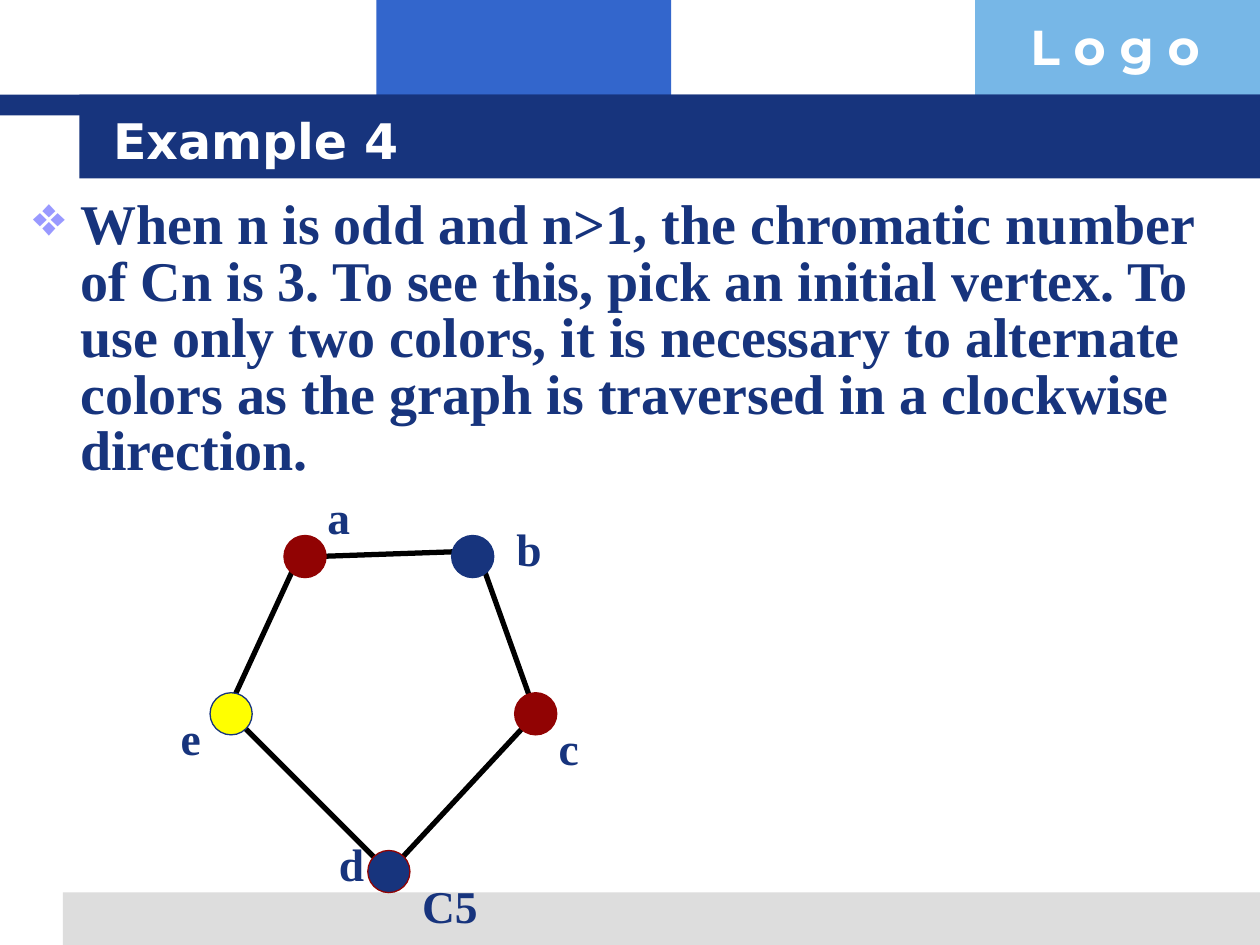
import pptx
import pptx.dml.color
import pptx.enum.shapes
import pptx.enum.text
import pptx.util
from lxml import etree
from pptx.oxml.ns import qn

Cm = pptx.util.Cm
Pt = pptx.util.Pt
SHAPE = pptx.enum.shapes.MSO_SHAPE
ANCHOR = pptx.enum.text.MSO_ANCHOR

NAVY, BLUE, SKY, GREY = "17347D", "3366CC", "77B7E7", "DDDDDD"
RED, YELLOW, WHITE, BLACK, LILAC = "910303", "FFFF00", "FFFFFF", "000000", "9999FF"
SERIF = "Times New Roman"

NODE_SIZE = 0.85
NODES = [
    (2.76, 1.49, RED, RED),
    (6.14, 1.49, NAVY, NAVY),
    (7.41, 4.66, RED, RED),
    (4.45, 7.84, NAVY, RED),
    (1.27, 4.66, YELLOW, NAVY),
]
EDGES = [
    (2.96, 1.49, 6.14, 1.38),
    (6.35, 1.7, 7.41, 4.66),
    (7.41, 4.66, 4.65, 7.63),
    (4.23, 7.63, 1.48, 4.88),
    (1.27, 4.45, 2.54, 1.7),
]
LABELS = [
    ("a", 2.96, 0, 0.97),
    ("b", 6.77, 0.64, 1.02),
    ("c", 7.62, 4.66, 0.91),
    ("d", 3.19, 6.99, 1.02),
    ("e", 0, 4.45, 0.91),
    ("C5", 4.87, 7.84, 1.63),
]


def rgb(color):
    return pptx.dml.color.RGBColor.from_string(color)


def add_shape(s, kind, x, y, w, h, fill, line=None):
    sp = s.shapes.add_shape(kind, Cm(x), Cm(y), Cm(w), Cm(h))
    sp.shadow.inherit = False
    sp.fill.solid()
    sp.fill.fore_color.rgb = rgb(fill)
    if line:
        sp.line.color.rgb = rgb(line)
        sp.line.width = Pt(0.75)
    else:
        sp.line.fill.background()


def add_line(s, x1, y1, x2, y2):
    cx = s.shapes.add_connector(
        pptx.enum.shapes.MSO_CONNECTOR.STRAIGHT, Cm(x1), Cm(y1), Cm(x2), Cm(y2))
    cx.line.color.rgb = rgb(BLACK)
    cx.line.width = Pt(3)
    etree.SubElement(cx._element.spPr, qn("a:effectLst"))


def add_bullet(p, char, color, indent):
    pPr = p._p.get_or_add_pPr()
    pPr.set("marL", str(Cm(indent)))
    pPr.set("indent", str(-Cm(indent)))
    clr = etree.SubElement(pPr, qn("a:buClr"))
    etree.SubElement(clr, qn("a:srgbClr")).set("val", color)
    etree.SubElement(pPr, qn("a:buChar")).set("char", char)


def add_text(s, text, x, y, w, h, size=26, font=SERIF, color=NAVY,
             wrap=True, anchor=ANCHOR.TOP, spacing=None, bullet=None):
    tf = s.shapes.add_textbox(Cm(x), Cm(y), Cm(w), Cm(h)).text_frame
    tf.word_wrap = wrap
    tf.vertical_anchor = anchor
    p = tf.paragraphs[0]
    if bullet:
        add_bullet(p, bullet, LILAC, 0.95)
    if spacing:
        p.line_spacing = spacing
    r = p.add_run()
    r.text = text
    r.font.size = Pt(size)
    r.font.name = font
    r.font.bold = True
    r.font.color.rgb = rgb(color)


def add_header(s, x, y, w):
    add_shape(s, SHAPE.RECTANGLE, x + 7.59, y, 5.94, 2.34, BLUE)
    add_shape(s, SHAPE.RECTANGLE, x + 19.66, y, w - 19.66, 2.34, SKY)
    add_shape(s, SHAPE.RECTANGLE, x, y + 1.91, w, 0.42, NAVY)
    add_shape(s, SHAPE.RECTANGLE, x + 1.6, y + 1.91, w - 1.6, 1.69, NAVY)
    add_text(s, "L o g o", x + 20.52, y + 0.2, 4.9, 1.45,
             size=28, font="Montserrat", color=WHITE)
    add_text(s, "Example 4", x + 2.03, y + 2.03, 21.67, 1.57,
             size=28, font="DejaVu Sans", color=WHITE, anchor=ANCHOR.MIDDLE)


def add_footer(s, x, y, w, h):
    add_shape(s, SHAPE.RECTANGLE, x, y, w, h, GREY)


def add_body(s, x, y, w, h):
    add_text(s, "When n is odd and n>1, the chromatic number of Cn is 3. "
             "To see this, pick an initial vertex. To use only two colors, "
             "it is necessary to alternate colors as the graph is traversed "
             "in a clockwise direction.",
             x, y, w, h, size=32, spacing=0.84, bullet="❖")


def add_graph(s, x, y):
    for x1, y1, x2, y2 in EDGES:
        add_line(s, x + x1, y + y1, x + x2, y + y2)
    for text, dx, dy, w in LABELS:
        add_text(s, text, x + dx, y + dy, w, 1.37, wrap=False)
    for cx, cy, fill, line in NODES:
        add_shape(s, SHAPE.OVAL, x + cx - NODE_SIZE / 2, y + cy - NODE_SIZE / 2,
                  NODE_SIZE, NODE_SIZE, fill, line)


def main():
    prs = pptx.Presentation()
    prs.slide_width, prs.slide_height = Cm(25.4), Cm(19.05)
    s = prs.slides.add_slide(prs.slide_layouts[6])
    add_header(s, 0, 0, 25.4)
    add_footer(s, 1.27, 17.99, 24.13, 1.06)
    add_body(s, 0.42, 3.9, 24.55, 6.35)
    add_graph(s, 3.39, 9.73)
    prs.save("out.pptx")


if __name__ == "__main__":
    main()
